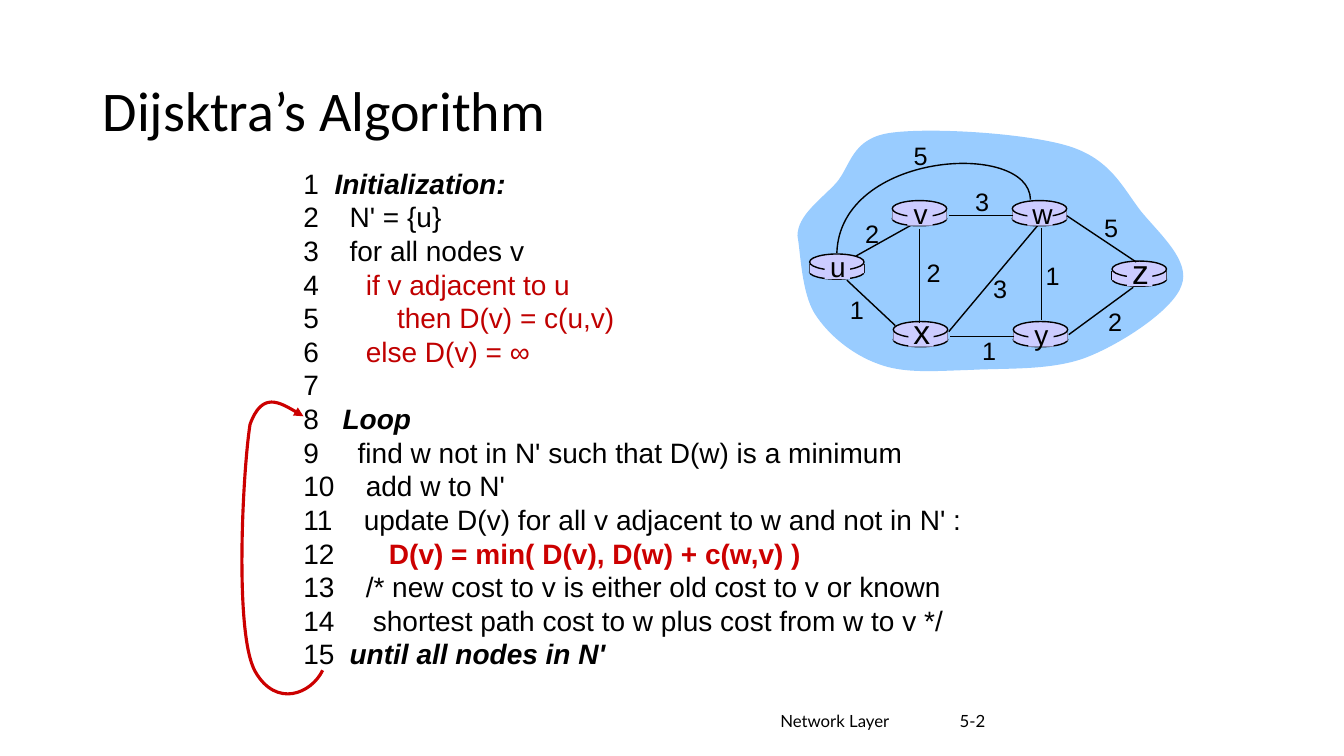
import pptx
import pptx.dml.color
import pptx.enum.shapes
import pptx.enum.text
import pptx.oxml.ns
import pptx.util
from lxml import etree
from pptx.util import Inches

BLACK, RED, DARK_RED = "000000", "CC0000", "C00000"
CLOUD_BLUE, ROUTER_LILAC = "99CCFF", "CCCCFF"
ALIGN = pptx.enum.text.PP_ALIGN
SHAPES = pptx.enum.shapes.MSO_SHAPE

STRONG = {"bold": True, "italic": True}
CODE = [
    ("1", 0.31, "Initialization:", STRONG),
    ("2", 0.46, "N' = {u}", {}),
    ("3", 0.46, "for all nodes v", {}),
    ("4", 0.62, "if v adjacent to u", {"color": DARK_RED}),
    ("5", 0.93, "then D(v) = c(u,v)", {"color": DARK_RED}),
    ("6", 0.62, "else D(v) = ∞", {"color": DARK_RED}),
    ("7", 0, "", {}),
    ("8", 0.39, "Loop", STRONG),
    ("9", 0.54, "find w not in N' such that D(w) is a minimum", {}),
    ("10", 0.62, "add w to N'", {}),
    ("11", 0.6, "update D(v) for all v adjacent to w and not in N' :", {}),
    ("12", 0.85, "D(v) = min( D(v), D(w) + c(w,v) )", {"color": RED, "bold": True}),
    ("13", 0.62, "/* new cost to v is either old cost to v or known", {}),
    ("14", 0.69, "shortest path cost to w plus cost from w to v */", {}),
    ("15", 0.46, "until all nodes in N'", STRONG),
]
LOOP_ARROW = [
    (3.2, 6.65), (3.09, 6.88), (2.74, 7.03), (2.53, 6.66), (2.32, 6.28),
    (2.41, 4.65), (2.48, 4.21), (2.6, 3.88), (2.83, 4.02), (3.01, 4.13),
]
CLOUD = [
    (7.91, 2.34), (7.91, 2.14), (8.13, 1.99), (8.29, 1.82), (8.44, 1.65),
    (8.44, 1.38), (8.82, 1.32), (9.21, 1.26), (10.18, 1.32), (10.6, 1.45),
    (11.02, 1.58), (11.14, 1.87), (11.32, 2.1), (11.51, 2.33), (11.81, 2.59),
    (11.72, 2.83), (11.64, 3.07), (11.14, 3.4), (10.79, 3.54), (10.44, 3.68),
    (9.98, 3.65), (9.63, 3.67), (9.28, 3.68), (8.97, 3.71), (8.71, 3.61),
    (8.46, 3.52), (8.22, 3.33), (8.08, 3.11), (7.95, 2.9), (7.94, 2.5), (7.91, 2.34),
]
U_W_EDGE = [(10.22, 1.98), (10.21, 1.39), (8.33, 1.5), (8.3, 2.51)]
U_V_EDGE = (8.49, 2.54, 9.08, 2.21)
EDGES = [
    (10.33, 2.26, 10.33, 3.17), (9.12, 2.27, 9.12, 3.2), (9.41, 3.29, 10.29, 2.24),
    (10.6, 3.32, 11.24, 2.85), (10.06, 3.34, 9.42, 3.34), (8.88, 3.23, 8.4, 2.78),
    (10.05, 2.14, 9.41, 2.14), (11.27, 2.6, 10.58, 2.14),
]
ROUTERS = [
    ("u", 8.03, 2.52, 20), ("x", 8.86, 3.19, 24), ("v", 8.85, 1.99, 20),
    ("w", 10.04, 1.99, 20), ("y", 10.05, 3.19, 20), ("z", 11.03, 2.59, 24),
]
COSTS = [
    ("2", 8.48, 2.12), ("2", 9.09, 2.5), ("1", 8.33, 2.87), ("3", 9.75, 2.66),
    ("1", 9.64, 3.28), ("1", 10.27, 2.53), ("2", 10.89, 2.99), ("5", 10.85, 2.06),
    ("3", 9.57, 1.8), ("5", 8.96, 1.34),
]


def rgb(value):
    """Turn a hex string into a colour."""
    return pptx.dml.color.RGBColor.from_string(value)


def write(paragraph, text, font="Arial", size=20, color=BLACK, bold=False, italic=False):
    """Append formatted text to a paragraph."""
    run = paragraph.add_run()
    run.text = text
    run.font.name, run.font.size = font, pptx.util.Pt(size)
    run.font.bold, run.font.italic = bold, italic
    run.font.color.rgb = rgb(color)


def add_box(slide, left, top, width, height, middle=False, wrap=True):
    """Add an empty text box and return its text frame."""
    frame = slide.shapes.add_textbox(*map(Inches, (left, top, width, height))).text_frame
    frame.word_wrap = wrap
    anchor = pptx.enum.text.MSO_ANCHOR
    frame.vertical_anchor = anchor.MIDDLE if middle else anchor.TOP
    return frame


def add_label(slide, text, *place, align=ALIGN.LEFT, spacing=None, middle=False, wrap=True, **style):
    """Add a text box that holds one line."""
    paragraph = add_box(slide, *place, middle=middle, wrap=wrap).paragraphs[0]
    paragraph.alignment, paragraph.line_spacing = align, spacing
    write(paragraph, text, **style)


def paint(shape, fill=None, line=None, width=1):
    """Set fill and outline and drop the shadow."""
    shape.shadow.inherit = False
    if fill:
        shape.fill.solid()
        shape.fill.fore_color.rgb = rgb(fill)
    else:
        shape.fill.background()
    if line:
        shape.line.color.rgb = rgb(line)
        shape.line.width = pptx.util.Pt(width)
    else:
        shape.line.fill.background()


def add_part(slide, kind, left, top, width, height, line=None):
    """Add a lilac part of a router."""
    part = slide.shapes.add_shape(kind, *map(Inches, (left, top, width, height)))
    paint(part, ROUTER_LILAC, line)


def add_line(slide, *ends):
    """Add a thin black straight line."""
    straight = pptx.enum.shapes.MSO_CONNECTOR.STRAIGHT
    line = slide.shapes.add_connector(straight, *map(Inches, ends))
    line.line.color.rgb = rgb(BLACK)
    line.line.width = pptx.util.Pt(1)
    etree.SubElement(line._element.spPr, pptx.oxml.ns.qn("a:effectLst"))


def add_curve(slide, points, close=False, **look):
    """Add a chain of cubic curves through a start and triples of points."""
    start, *rest = [(Inches(x), Inches(y)) for x, y in points]
    builder = slide.shapes.build_freeform(*start)
    builder.add_line_segments(rest, close=close)
    curve = builder.convert_to_shape()
    segments = list(curve._element.iter(pptx.oxml.ns.qn("a:lnTo")))
    for first, second, third in zip(segments[::3], segments[1::3], segments[2::3]):
        first.tag = pptx.oxml.ns.qn("a:cubicBezTo")
        for segment in (second, third):
            first.append(segment[0])
            segment.getparent().remove(segment)
    paint(curve, **look)
    return curve


def add_code(slide):
    """Add the numbered pseudocode."""
    frame = add_box(slide, 2.91, 1.6, 6.8, 5.1)
    for row, (number, indent, text, style) in enumerate(CODE):
        paragraph = frame.add_paragraph() if row else frame.paragraphs[0]
        paragraph.line_spacing = pptx.util.Pt(24)
        if not text:
            write(paragraph, number)
            continue
        tabs = etree.SubElement(paragraph._p.get_or_add_pPr(), pptx.oxml.ns.qn("a:tabLst"))
        etree.SubElement(tabs, pptx.oxml.ns.qn("a:tab"), pos=str(Inches(indent)), algn="l")
        write(paragraph, number + "\t")
        write(paragraph, text, **style)


def add_router(slide, left, top):
    """Add a router drawn as a flat cylinder."""
    add_part(slide, SHAPES.OVAL, left, top + 0.11, 0.54, 0.14, BLACK)
    for side in (left, left + 0.54):
        add_line(slide, side, top + 0.1, side, top + 0.19)
    add_part(slide, SHAPES.RECTANGLE, left, top + 0.1, 0.54, 0.09)
    add_part(slide, SHAPES.OVAL, left, top, 0.54, 0.16, BLACK)


def add_network(slide):
    """Add the cloud with its routers, edges and costs."""
    add_curve(slide, CLOUD, close=True, fill=CLOUD_BLUE)
    add_line(slide, *U_V_EDGE)
    for _, left, top, _ in ROUTERS:
        add_router(slide, left, top)
    for edge in EDGES:
        add_line(slide, *edge)
    add_curve(slide, U_W_EDGE, line=BLACK)
    for node, left, top, size in ROUTERS:
        add_part(slide, SHAPES.RECTANGLE, left + 0.15, top + 0.02, 0.25, 0.23)
        rise = 0.09 if size == 20 else 0.15
        add_label(slide, node, left + 0.1, top - rise, 0.36, 0.43,
                  align=ALIGN.CENTER, wrap=False, size=size)
    for cost, left, top in COSTS:
        add_label(slide, cost, left, top, 0.34, 0.4, align=ALIGN.CENTER, wrap=False, size=18)


def main():
    """Build the slide and save it."""
    deck = pptx.Presentation()
    deck.slide_width, deck.slide_height = Inches(13.33), Inches(7.5)
    slide = deck.slides.add_slide(deck.slide_layouts[6])
    footer = {"middle": True, "font": "Lato", "size": 12}
    add_label(slide, "Network Layer", 4.42, 6.95, 4.5, 0.4, align=ALIGN.RIGHT, **footer)
    add_label(slide, "5-2", 9.42, 6.95, 3, 0.4, **footer)
    add_label(slide, "Dijsktra’s Algorithm", 0.92, 0.4, 11.5, 1.45,
              spacing=0.9, middle=True, font="Calibri", size=40)
    add_code(slide)
    loop = add_curve(slide, LOOP_ARROW, line=RED, width=2.25)
    etree.SubElement(loop.line._get_or_add_ln(), pptx.oxml.ns.qn("a:tailEnd"), type="triangle")
    add_network(slide)
    deck.save("out.pptx")


if __name__ == "__main__":
    main()
